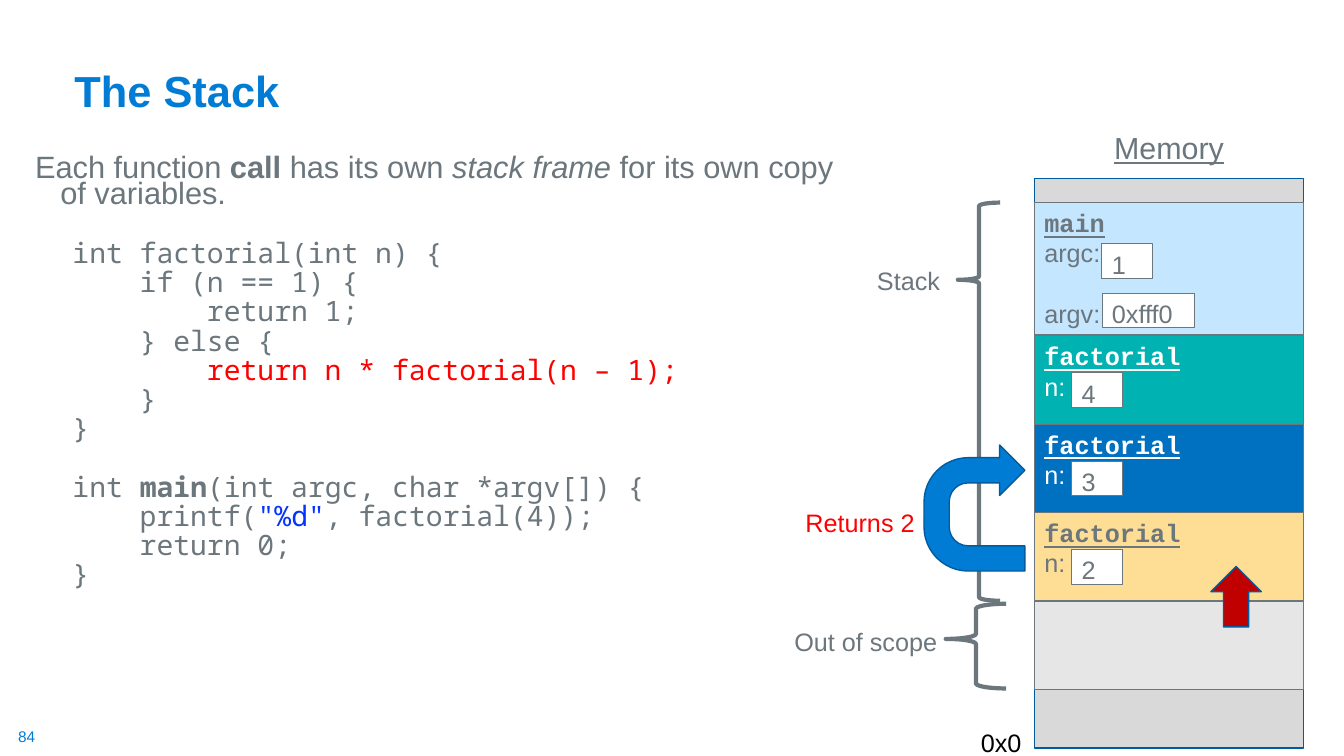
from pptx import Presentation
from pptx import util as u
from pptx.dml.color import RGBColor
from pptx.enum import shapes, text

SLIDE_WIDTH, SLIDE_HEIGHT = 13.33, 7.5
GREY, BLUE, EDGE, RED, WHITE = "6B767D", "007CD5", "005C9E", "FF0000", "FFFFFF"
SANS, COURIER, MONO = "Arial", "Courier New", "Noto Sans Mono"

INTRO = [("Each function", {}), (" call", {"bold": True}), (" has its own ", {}),
         ("stack frame ", {"italic": True}), ("for its own copy of variables.", {})]
FUNCTIONS = [
    [
        [("int factorial(int n) {", {})],
        [("    if (n == 1) {", {})],
        [("        return 1;", {})],
        [("    } else {", {})],
        [("        return n * factorial(n – 1);", {"color": RED})],
        [("    }", {})],
        [("}", {})],
    ],
    [
        [("int ", {}), ("main", {"bold": True}), ("(int argc, char *argv[]) {", {})],
        [("    printf(", {}), ('"%d"', {"color": "0432FF"}), (", factorial(4));", {})],
        [("    return 0;", {})],
        [("}", {})],
    ],
]
CALLS = [
    ("4", "00B2B1", WHITE),
    ("3", "0070C0", WHITE),
    ("2", "FEDD94", GREY),
    (None, "E7E6E6", None),
]
LABELS = [
    ("0x0", (9.63, 7.17, 0.69, 0.32), "000000"),
    ("Stack", (8.6, 2.58, 0.83, 0.4), GREY),
    ("Returns 2", (7.89, 4.98, 1.3, 0.4), RED),
    ("Out of scope", (7.78, 6.16, 1.63, 0.4), GREY),
]

MEMORY_LEFT, MEMORY_TOP, MEMORY_WIDTH, MEMORY_HEIGHT = 10.26, 1.77, 2.67, 5.65
MAIN_TOP, MAIN_HEIGHT = 2.01, 1.31
CALLS_TOP, CALLS_BOTTOM = 3.33, 6.84
CALL_HEIGHT = (CALLS_BOTTOM - CALLS_TOP) / len(CALLS)
VALUE_WIDTH, VALUE_HEIGHT, VALUE_DROP = 0.5, 0.34, 0.37
LINE_GAP, BLOCK_GAP, VARIABLE_GAP = 4, 25, 21.6

presentation = Presentation()
presentation.slide_width = u.Inches(SLIDE_WIDTH)
presentation.slide_height = u.Inches(SLIDE_HEIGHT)
slide = presentation.slides.add_slide(presentation.slide_layouts[6])


def rgb(color):
    return RGBColor.from_string(color)


def inches(box):
    return [u.Inches(length) for length in box]


def style(font, size, color, name=SANS, bold=False, underline=False):
    font.size, font.name, font.bold = u.Pt(size), name, bold
    font.underline = underline
    font.color.rgb = rgb(color)


def add_paragraph(frame, first, content, size, color, name=SANS, before=0, **marks):
    paragraph = frame.paragraphs[0] if first else frame.add_paragraph()
    paragraph.alignment = text.PP_ALIGN.LEFT
    for words, changes in content:
        run = paragraph.add_run()
        run.text = words
        for key, value in changes.items():
            if key == "color":
                run.font.color.rgb = rgb(value)
            else:
                setattr(run.font, key, value)
    style(paragraph.font, size, color, name, **marks)
    if before:
        paragraph.space_before = u.Pt(before)
    return paragraph


def add_text(box, words, size, color, wrap=True, **marks):
    frame = slide.shapes.add_textbox(*inches(box)).text_frame
    frame.word_wrap = wrap
    return frame, add_paragraph(frame, True, [(words, {})], size, color, **marks)


def add_shape(kind, box, fill, line, width, adjustments=()):
    shape = slide.shapes.add_shape(kind, *inches(box))
    shape.shadow.inherit = False
    if fill:
        shape.fill.solid()
        shape.fill.fore_color.rgb = rgb(fill)
    else:
        shape.fill.background()
    shape.line.color.rgb = rgb(line)
    shape.line.width = u.Pt(width)
    for index, value in enumerate(adjustments):
        shape.adjustments[index] = value
    shape.text_frame.vertical_anchor = text.MSO_ANCHOR.TOP
    return shape


def add_box(box, fill):
    return add_shape(shapes.MSO_SHAPE.RECTANGLE, box, fill, GREY, 0.75)


def add_stack_frame(top, height, fill, color, name, variables):
    frame = add_box((MEMORY_LEFT, top, MEMORY_WIDTH, height), fill).text_frame
    if not color:
        return
    add_paragraph(frame, True, [(name, {})], 18, color, COURIER, bold=True, underline=True)
    for index, variable in enumerate(variables):
        add_paragraph(frame, False, [(variable, {})], 18, color, before=index * VARIABLE_GAP)


def add_value(left, top, width, value):
    frame = add_box((left, top, width, VALUE_HEIGHT), WHITE).text_frame
    add_paragraph(frame, True, [(value, {})], 18, GREY)


def add_brace(box, point):
    add_shape(shapes.MSO_SHAPE.LEFT_BRACE, box, None, GREY, 3, (0.083, point))


def add_heading():
    frame, number = add_text((0.18, 7.21, 0.19, 0.19), "84", 11, BLUE, wrap=False)
    frame.margin_left = frame.margin_right = frame.margin_top = frame.margin_bottom = 0
    frame, title = add_text((0.64, 0.43, 11.5, 0.78), "The Stack", 31, BLUE, bold=True)
    frame.vertical_anchor = text.MSO_ANCHOR.BOTTOM
    title.line_spacing = 0.9


def add_code():
    frame = slide.shapes.add_textbox(*inches((0.25, 1.52, 8.29, 5.66))).text_frame
    frame.word_wrap = True
    paragraphs = [(add_paragraph(frame, True, INTRO, 22, GREY), 0.25)]
    for function in FUNCTIONS:
        for index, line in enumerate(function):
            before = LINE_GAP if index else BLOCK_GAP
            paragraphs.append(
                (add_paragraph(frame, False, line, 20, GREY, MONO, before), 0.62))
    for paragraph, margin in paragraphs:
        paragraph.line_spacing = 0.7
        properties = paragraph._p.get_or_add_pPr()
        properties.set("marL", str(u.Inches(margin)))
        properties.set("indent", str(u.Inches(-0.25)))


def add_memory():
    frame, caption = add_text((10.93, 1.33, 1.33, 0.43), "Memory", 21.7, GREY, underline=True)
    caption.alignment = text.PP_ALIGN.CENTER
    caption.line_spacing = 0.7
    add_shape(shapes.MSO_SHAPE.RECTANGLE,
              (MEMORY_LEFT, MEMORY_TOP, MEMORY_WIDTH, MEMORY_HEIGHT), "D9D9D9", EDGE, 1)
    add_stack_frame(MAIN_TOP, MAIN_HEIGHT, "C4E6FF", GREY, "main", ["argc:", "argv:"])
    add_value(10.93, 2.42, VALUE_WIDTH, "1")
    add_value(10.93, 2.91, 0.92, "0xfff0")
    for index, (value, fill, color) in enumerate(CALLS):
        top = CALLS_TOP + index * CALL_HEIGHT
        add_stack_frame(top, CALL_HEIGHT, fill, color, "factorial", ["n:"])
        if value:
            add_value(10.63, top + VALUE_DROP, VALUE_WIDTH, value)


def add_annotations():
    add_brace((9.5, MAIN_TOP, 0.42, 3.95), 0.194)
    add_brace((9.38, 5.99, 0.6, 0.84), 0.415)
    turn = add_shape(shapes.MSO_SHAPE.U_TURN_ARROW, (9.04, 4.54, 1.25, 1), BLUE, EDGE, 1,
                     (0.25, 0.25, 0.25, 0.438, 1))
    turn.rotation = 270
    add_shape(shapes.MSO_SHAPE.UP_ARROW, (12.01, 5.62, 0.5, 0.6), "C00000", EDGE, 1)
    for words, box, color in LABELS:
        add_text(box, words, 18, color, wrap=False)


add_heading()
add_code()
add_memory()
add_annotations()
presentation.save("out.pptx")
